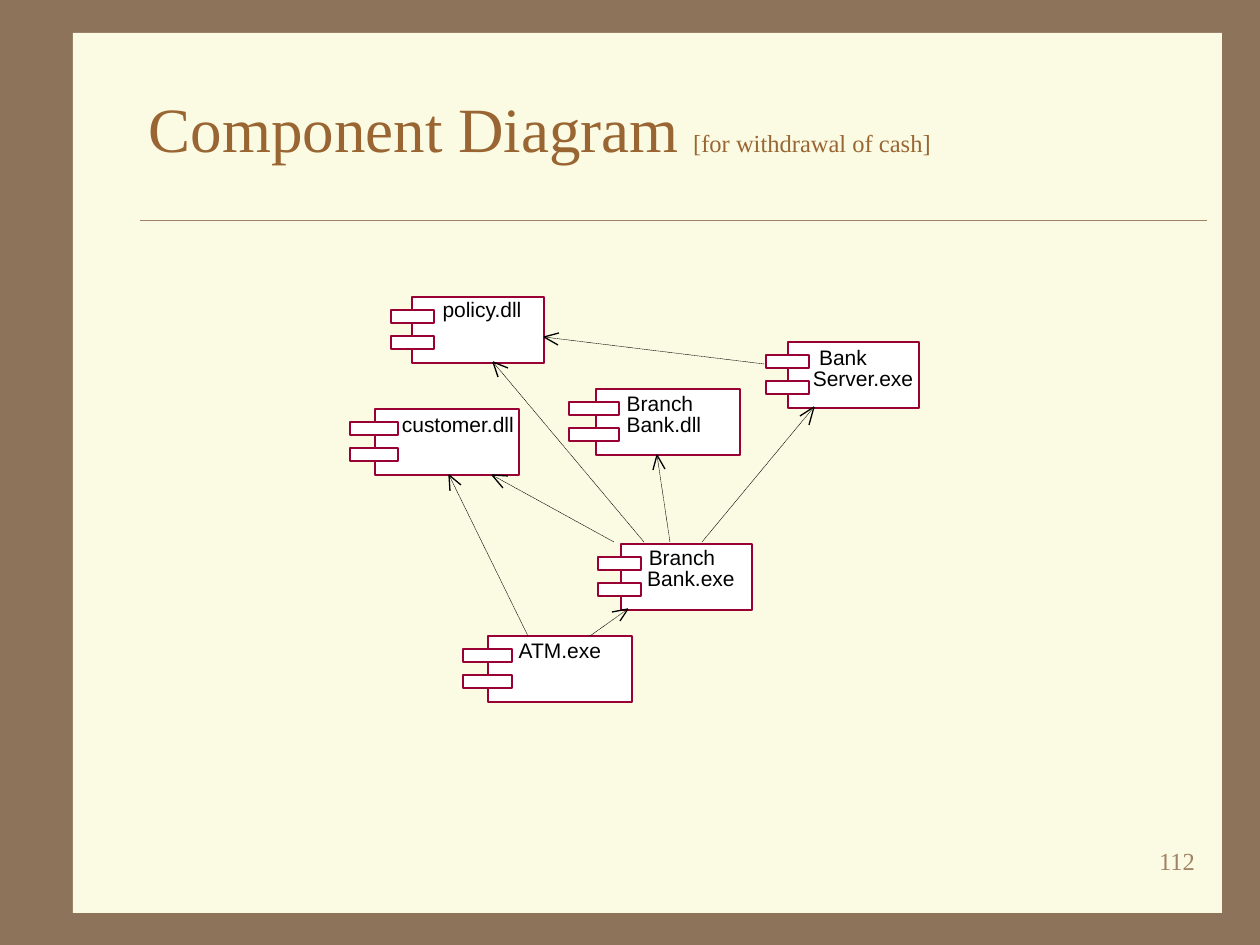
import pptx
import pptx.util
import pptx.dml.color
import pptx.enum.dml
import pptx.enum.shapes
import pptx.enum.text
import pptx.oxml

EMU_PER_PX = 914400 / 126
BROWN, CREAM, TAN, TITLE = "8C735A", "FBFAE2", "A08366", "996633"
WHITE, BLACK, CRIMSON = "FFFFFF", "000000", "990033"
SERIF, SANS = "Times New Roman", "Arial"
ALIGN = pptx.enum.text.PP_ALIGN

BODY_H, TAB_H, TAB_OFFSETS = 66, 13, (13, 39)
LABEL_H = 25

# body (x, y, width), tab (x, width), label lines (text, x, y, width)
COMPONENTS = [
    ((412, 297, 132), (391, 43), [("policy.dll", 441, 297, 82)]),
    ((596, 389, 144), (569, 50), [("Branch", 625, 391, 70), ("Bank.dll", 625, 412, 78)]),
    ((375, 409, 144), (350, 48), [("customer.dll", 400, 412, 116)]),
    ((488, 636, 144), (463, 49), [("ATM.exe", 517, 638, 86)]),
    ((621, 544, 131), (598, 43), [("Branch", 647, 545, 70), ("Bank.exe", 646, 566, 90)]),
    ((788, 342, 131), (766, 43), [("Bank", 817, 345, 52), ("Server.exe", 810, 366, 106)]),
]

# start, tip, outer ends of the two barbs
DEPENDENCIES = [
    ((702, 542), (814, 407), (809, 425), (800, 416)),
    ((764, 364), (544, 337), (559, 333), (558, 345)),
    ((670, 542), (657, 455), (665, 469), (653, 470)),
    ((528, 636), (449, 475), (461, 485), (450, 491)),
    ((614, 542), (492, 475), (508, 476), (503, 488)),
    ((644, 542), (493, 362), (508, 368), (498, 377)),
    ((590, 636), (628, 609), (620, 621), (612, 612)),
]


def px(n):
    return pptx.util.Emu(round(n * EMU_PER_PX))


def rgb(value):
    return pptx.dml.color.RGBColor.from_string(value)


def add_box(s, x, y, w, h, fill, line=None):
    sp = s.shapes.add_shape(pptx.enum.shapes.MSO_SHAPE.RECTANGLE, px(x), px(y), px(w), px(h))
    sp.shadow.inherit = False
    sp.fill.solid()
    sp.fill.fore_color.rgb = rgb(fill)
    if line:
        sp.line.color.rgb = rgb(line)
        sp.line.width = pptx.util.Pt(0.75)
    else:
        sp.line.fill.background()


def add_line(s, start, end, color, width, dashed=False):
    c = s.shapes.add_connector(pptx.enum.shapes.MSO_CONNECTOR.STRAIGHT,
                               *map(px, start + end))
    c.line.color.rgb = rgb(color)
    c.line.width = pptx.util.Pt(width)
    if dashed:
        c.line.dash_style = pptx.enum.dml.MSO_LINE.SQUARE_DOT
    c._element.spPr.append(pptx.oxml.parse_xml(
        '<a:effectLst xmlns:a="http://schemas.openxmlformats.org/drawingml/2006/main"/>'))


def add_text(s, x, y, w, h, runs, font, color, align, insets=(13, 6, 13, 6)):
    """Add one paragraph of (text, size) runs; insets are left, top, right, bottom."""
    tf = s.shapes.add_textbox(px(x), px(y), px(w), px(h)).text_frame
    tf.word_wrap = True
    tf.margin_left, tf.margin_top, tf.margin_right, tf.margin_bottom = map(px, insets)
    p = tf.paragraphs[0]
    p.alignment = align
    for text, size in runs:
        r = p.add_run()
        r.text = text
        r.font.name = font
        r.font.size = pptx.util.Pt(size)
        r.font.color.rgb = rgb(color)
    return tf


def add_component(s, body, tab, labels):
    x, y, w = body
    tab_x, tab_w = tab
    add_box(s, x, y, w, BODY_H, WHITE, CRIMSON)
    for offset in TAB_OFFSETS:
        add_box(s, tab_x, y + offset, tab_w, TAB_H, WHITE, CRIMSON)
    for text, left, top, width in labels:
        tf = add_text(s, left, top, width, LABEL_H, [(text, 12)], SANS, BLACK,
                      ALIGN.CENTER, (0, 0, 0, 0))
        tf.word_wrap = False
        tf.auto_size = pptx.enum.text.MSO_AUTO_SIZE.SHAPE_TO_FIT_TEXT


def add_dependency(s, start, tip, *barbs):
    add_line(s, start, tip, BLACK, 0.25, dashed=True)
    for barb in barbs:
        add_line(s, tip, barb, BLACK, 0.75)


def main():
    prs = pptx.Presentation()
    prs.slide_width, prs.slide_height = px(1260), px(945)
    s = prs.slides.add_slide(prs.slide_layouts[6])
    s.background.fill.solid()
    s.background.fill.fore_color.rgb = rgb(BROWN)

    add_box(s, 73, 33, 1149, 880, CREAM)
    add_line(s, (140, 220), (1207, 220), TAN, 0.25)
    title = add_text(s, 136, 63, 1071, 158,
                     [("Component Diagram", 36), (" ", 32), ("[for withdrawal of cash]", 14)],
                     SERIF, TITLE, ALIGN.LEFT, (13, 6, 13, 36))
    title.vertical_anchor = pptx.enum.text.MSO_ANCHOR.MIDDLE

    for component in COMPONENTS:
        add_component(s, *component)
    for dependency in DEPENDENCIES:
        add_dependency(s, *dependency)

    add_text(s, 945, 840, 263, 63, [("112", 14)], SERIF, TAN, ALIGN.RIGHT)
    prs.save("out.pptx")


if __name__ == "__main__":
    main()
